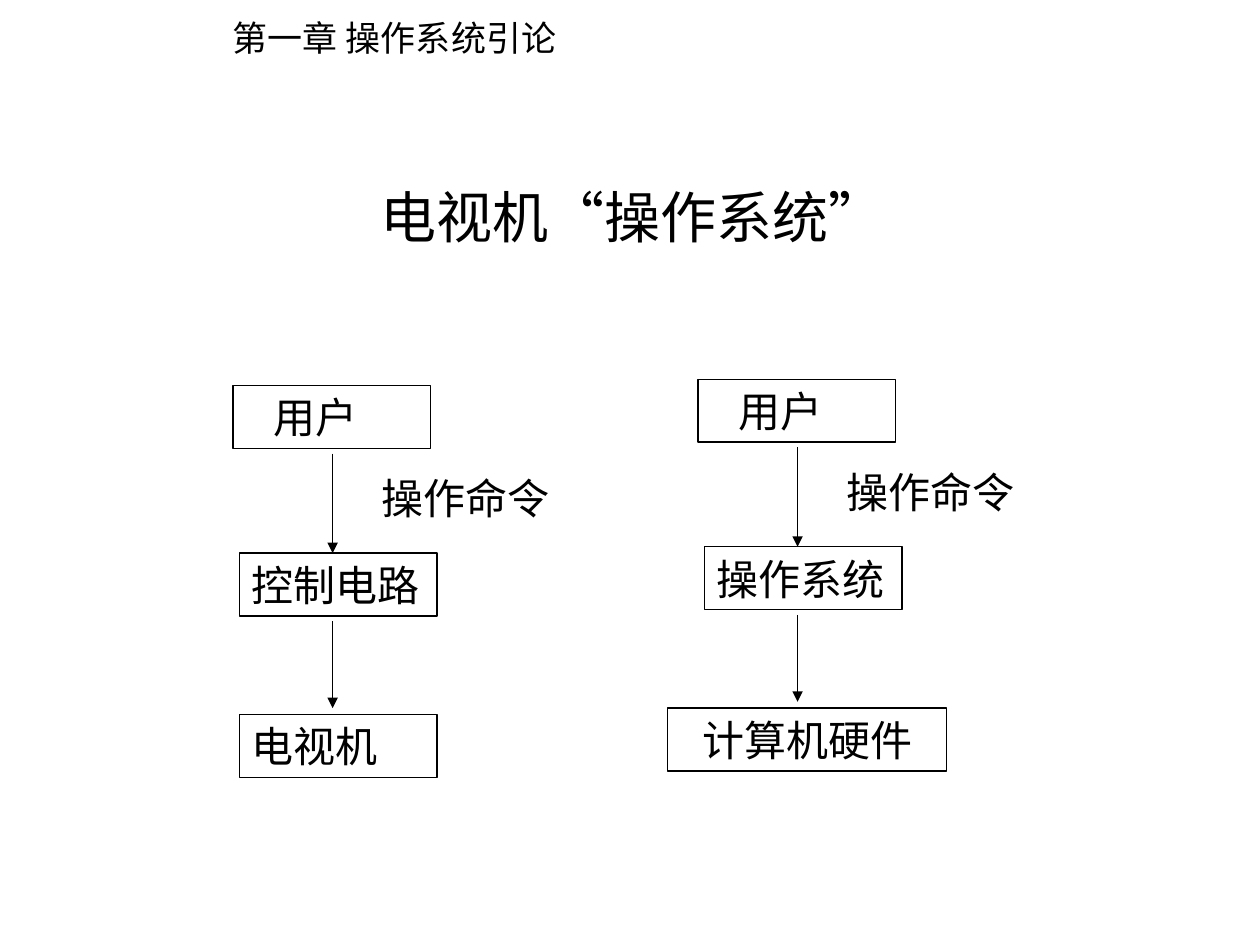
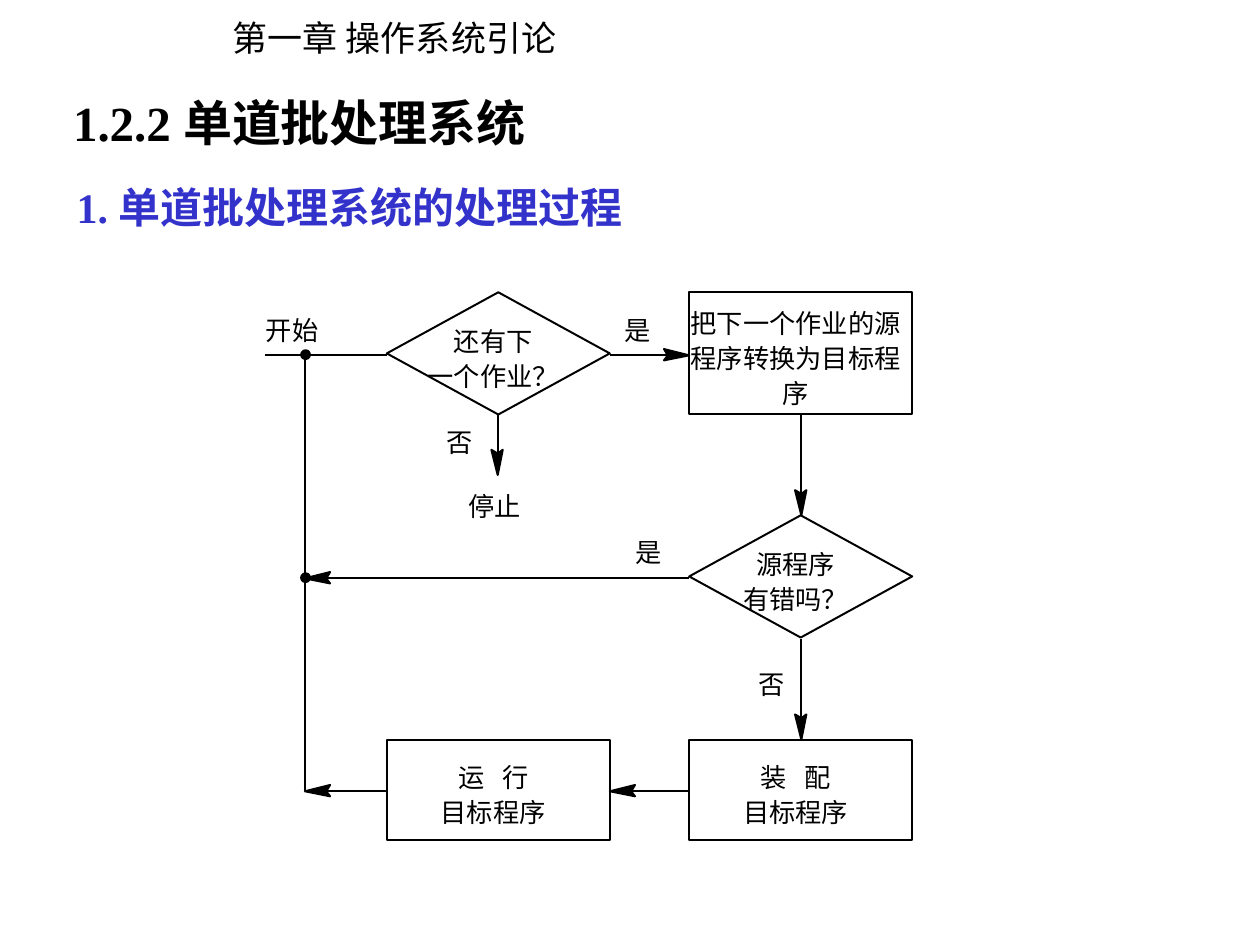
from dataclasses import dataclass

from lxml.etree import SubElement
from pptx import Presentation
from pptx.dml.color import RGBColor
from pptx.enum.lang import MSO_LANGUAGE_ID as Lang
from pptx.enum.shapes import MSO_CONNECTOR as Link, MSO_SHAPE as Shape
from pptx.enum.text import MSO_ANCHOR as Anchor, MSO_AUTO_SIZE as Fit, PP_ALIGN as Align
from pptx.oxml.ns import qn
from pptx.util import Pt


@dataclass(frozen=True)
class Theme:
    ink: RGBColor = RGBColor(0, 0, 0)
    paper: RGBColor = RGBColor(255, 255, 255)
    accent: RGBColor = RGBColor(0x33, 0x33, 0xCC)
    serif: str = "Times New Roman"
    sans: str = "Noto Sans CJK SC"
    title: int = 32
    section: int = 28
    body: int = 24
    chapter: int = 20
    flow: int = 15
    flow_pitch: int = 20
    thin: float = 0.75
    medium: float = 1.13


THEME = Theme()
PX = 9144


def write(holder, text, size=THEME.body, font=THEME.serif, color=THEME.ink, bold=False,
          align=Align.LEFT, wrap=False, insets=(10, 5, 10, 5), pitch=None, tracking=None):
    frame = holder.text_frame
    frame.text = text
    frame.auto_size = Fit.NONE
    frame.word_wrap = wrap
    frame.vertical_anchor = Anchor.MIDDLE
    frame.margin_left, frame.margin_top, frame.margin_right, frame.margin_bottom = (
        side * PX for side in insets)
    for line in frame.paragraphs:
        line.alignment = align
        if pitch:
            line.line_spacing = Pt(pitch)
        for run in line.runs:
            run.font.size = Pt(size)
            run.font.name = font
            run.font.bold = bold
            run.font.color.rgb = color
            run.font.language_id = Lang.SIMPLIFIED_CHINESE
            props = run.font._element
            SubElement(props, qn("a:ea")).set("typeface", THEME.sans)
            if tracking and " " in run.text:
                props.set("spc", str(tracking))


def connect(slide, start, end, weight, tail=None):
    x1, y1, x2, y2 = (length * PX for length in (*start, *end))
    link = slide.shapes.add_connector(Link.STRAIGHT, x1, y1, x2, y2)
    link.line.color.rgb = THEME.ink
    link.line.width = Pt(weight)
    props = link.element.spPr
    if tail:
        SubElement(props.find(qn("a:ln")), qn("a:tailEnd")).set("type", tail)
    SubElement(props, qn("a:effectLst"))


deck = Presentation()
deck.slide_width, deck.slide_height = 1000 * PX, 750 * PX
title_only = deck.slide_layouts[5]

analogy = deck.slides.add_slide(title_only)
chapter = analogy.shapes.add_textbox(175 * PX, 8 * PX, 283 * PX, 44 * PX)
write(chapter, "第一章 操作系统引论", size=THEME.chapter, font=THEME.sans)
deck.slide_master.shapes.element.append(chapter.element)

heading = analogy.shapes.title
heading.left, heading.top, heading.width, heading.height = 77 * PX, 109 * PX, 850 * PX, 125 * PX
write(heading, "电视机“操作系统”", size=THEME.title, align=Align.CENTER, wrap=True)

chains = [
    (0, 0, "控制电路", "电视机", 190, 157, Align.LEFT),
    (369, -5, "操作系统", "计算机硬件", 161, 221, Align.CENTER),
]
for dx, dy, controller, machine, machine_x, machine_width, machine_align in chains:
    stages = [
        ("用户", 185, 306, 157, Align.LEFT, 32),
        (controller, 190, 439, 157, Align.LEFT, 10),
        (machine, machine_x, 567, machine_width, machine_align, 10),
    ]
    for label, x, y, width, align, indent in stages:
        stage = analogy.shapes.add_shape(
            Shape.RECTANGLE, (x + dx) * PX, (y + dy) * PX, width * PX, 50 * PX)
        stage.shadow.inherit = False
        stage.fill.background()
        stage.line.color.rgb = THEME.ink
        stage.line.width = Pt(THEME.thin)
        write(stage, label, align=align, wrap=True, insets=(indent, 5, 10, 5))
    for top, bottom in [(360, 439), (493, 562)]:
        connect(analogy, (264 + dx, top + dy), (264 + dx, bottom + dy), THEME.thin, "triangle")
    command = analogy.shapes.add_textbox((293 + dx) * PX, (370 + dy) * PX, 157 * PX, 50 * PX)
    write(command, "操作命令", wrap=True)

batch = deck.slides.add_slide(title_only)
section = batch.shapes.title
section.left, section.top, section.width, section.height = 48 * PX, 68 * PX, 396 * PX, 57 * PX
write(section, "1.2.2 单道批处理系统", size=THEME.section, bold=True)
topic = batch.shapes.add_textbox(51 * PX, 139 * PX, 469 * PX, 50 * PX)
write(topic, "1. 单道批处理系统的处理过程", color=THEME.accent, bold=True)

RETURN_X, LEFT_X, RIGHT_X, STEP_WIDTH = 242, 307, 547, 177
LEFT_MID, RIGHT_MID = 395, 636
LEFT_END = LEFT_X + STEP_WIDTH
TOP_Y, CHECK_Y, RUN_Y = 282, 459, 628

steps = [
    (Shape.DIAMOND, LEFT_X, 232, 97, "还有下\n一个作业？"),
    (Shape.RECTANGLE, RIGHT_X, 232, 97, "把下一个作业的源\n程序转换为目标程\n序"),
    (Shape.DIAMOND, RIGHT_X, 409, 97, "源程序\n有错吗？"),
    (Shape.RECTANGLE, RIGHT_X, 587, 80, "装 配\n目标程序"),
    (Shape.RECTANGLE, LEFT_X, 587, 80, "运 行\n目标程序"),
]
for outline, x, y, height, label in steps:
    step = batch.shapes.add_shape(outline, x * PX, y * PX, STEP_WIDTH * PX, height * PX)
    step.shadow.inherit = False
    step.fill.solid()
    step.fill.fore_color.rgb = THEME.paper
    step.line.color.rgb = THEME.ink
    step.line.width = Pt(THEME.medium)
    write(step, label, size=THEME.flow, font=THEME.sans, align=Align.CENTER,
          insets=(0, 5, 8, 0), pitch=THEME.flow_pitch, tracking=340)

for start, end in [((210, TOP_Y), (LEFT_X, TOP_Y)), ((RETURN_X, TOP_Y), (RETURN_X, RUN_Y))]:
    connect(batch, start, end, THEME.medium)

marks = []
flows = [
    ((LEFT_END, TOP_Y), (RIGHT_X, TOP_Y)),
    ((LEFT_MID, 329), (LEFT_MID, 377)),
    ((RIGHT_MID, 329), (RIGHT_MID, 409)),
    ((RIGHT_MID, 507), (RIGHT_MID, 587)),
    ((RIGHT_X, CHECK_Y), (RETURN_X, CHECK_Y)),
    ((RIGHT_X, RUN_Y), (LEFT_END, RUN_Y)),
    ((LEFT_X, RUN_Y), (RETURN_X, RUN_Y)),
]
for start, end in flows:
    connect(batch, start, end, THEME.medium)
    (x1, y1), (x2, y2) = start, end
    run_x, run_y = (x2 > x1) - (x2 < x1), (y2 > y1) - (y2 < y1)
    barbs = [(x2 - back * run_x + side * abs(run_y), y2 - back * run_y + side * abs(run_x))
             for back, side in [(20, -5), (17, 0), (20, 4)]]
    head = batch.shapes.build_freeform(x2, y2, scale=PX)
    head.add_line_segments(barbs, close=True)
    marks.append(head.convert_to_shape())

for y in (TOP_Y, CHECK_Y):
    marks.append(batch.shapes.add_shape(
        Shape.OVAL, (RETURN_X - 3) * PX, (y - 4) * PX, 7 * PX, 7 * PX))
for mark in marks:
    mark.shadow.inherit = False
    mark.fill.solid()
    mark.fill.fore_color.rgb = THEME.ink
    mark.line.color.rgb = THEME.ink
    mark.line.width = Pt(THEME.medium)

notes = [
    ("开始", 211, 249), ("是", 496, 249), ("否", 354, 338), ("停止", 372, 389),
    ("是", 504, 426), ("否", 602, 530),
]
for label, x, y in notes:
    note = batch.shapes.add_textbox(x * PX, y * PX, 21 * len(label) * PX, 25 * PX)
    write(note, label, size=THEME.flow, font=THEME.sans, insets=(0, 0, 0, 0))

deck.save("out.pptx")
